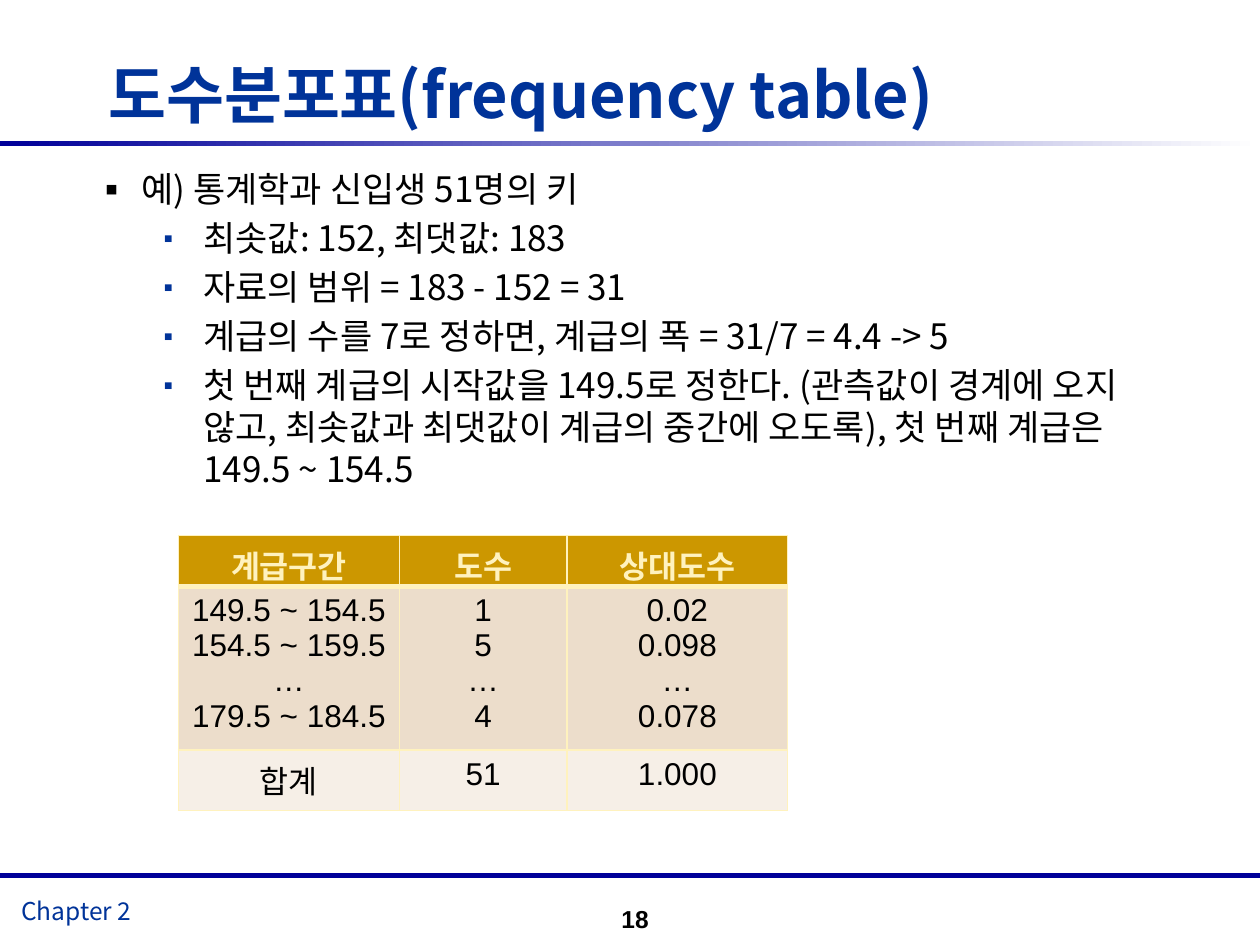
from dataclasses import dataclass

import pptx
import pptx.dml.color
import pptx.enum.shapes
import pptx.enum.text
import pptx.oxml
import pptx.oxml.ns
import pptx.util
from lxml import etree
from pptx.util import Cm, Pt

COLORS = {
    "navy": "000099",
    "blue": "003399",
    "black": "000000",
    "white": "FFFFFF",
    "gold": "CC9700",
    "cream": "FFF2BE",
    "tan": "ECDDCB",
    "pale": "F6EFE7",
}
KOREAN_FONT = "Noto Sans CJK KR"
TABLE_FONT = "Arial"
ALIGN = pptx.enum.text.PP_ALIGN
ANCHOR = pptx.enum.text.MSO_ANCHOR


@dataclass
class Bullet:
    text: str
    indent: float
    color: str
    size_percent: int


@dataclass
class TableRow:
    cells: list[str]
    height: float
    fill: str
    color: str
    bold: bool
    top_border: float
    bottom_border: float


def sub_bullet(text: str) -> Bullet:
    return Bullet(text, 2.2, "blue", 70)


BULLETS = [
    Bullet("예) 통계학과 신입생 51명의 키", 0.95, "black", 100),
    sub_bullet("최솟값: 152, 최댓값: 183"),
    sub_bullet("자료의 범위 = 183 - 152 = 31"),
    sub_bullet("계급의 수를 7로 정하면, 계급의 폭 = 31/7 = 4.4 -> 5"),
    sub_bullet(
        "첫 번째 계급의 시작값을 149.5로 정한다. (관측값이 경계에 오지 않고, "
        "최솟값과 최댓값이 계급의 중간에 오도록), 첫 번째 계급은 149.5 ~ 154.5"
    ),
]
COLUMN_WIDTHS = [4.45, 3.38, 4.45]
TABLE_ROWS = [
    TableRow(["계급구간", "도수", "상대도수"], 1.02, "gold", "cream", True, 1, 3),
    TableRow(
        [
            "149.5 ~ 154.5\n154.5 ~ 159.5\n…\n179.5 ~ 184.5",
            "1\n5\n…\n4",
            "0.02\n0.098\n…\n0.078",
        ],
        3.3, "tan", "black", False, 3, 1,
    ),
    TableRow(["합계", "51", "1.000"], 1.22, "pale", "black", False, 1, 1),
]


def rgb(name: str) -> pptx.dml.color.RGBColor:
    return pptx.dml.color.RGBColor.from_string(COLORS[name])


def format_runs(paragraph, font_name: str, size: float, color: str, bold: bool = False) -> None:
    for run in paragraph.runs:
        run.font.name = font_name
        run.font.size = Pt(size)
        run.font.bold = bold
        run.font.color.rgb = rgb(color)
        if font_name == KOREAN_FONT:
            east_asian = etree.SubElement(
                run.font._element, pptx.oxml.ns.qn("a:ea")
            )
            east_asian.set("typeface", font_name)


def set_margins(text_frame, left: float = 0) -> None:
    text_frame.margin_left = Cm(left)
    text_frame.margin_top = text_frame.margin_right = text_frame.margin_bottom = 0


def add_rule(slide, top: float):
    shape = slide.shapes.add_shape(
        pptx.enum.shapes.MSO_SHAPE.RECTANGLE, 0, Cm(top), Cm(25.4), Cm(0.1)
    )
    shape.shadow.inherit = False
    shape.line.fill.background()
    return shape


def add_rules(slide) -> None:
    fading = add_rule(slide, 2.85).fill
    fading.gradient()
    fading.gradient_angle = 0
    for stop, color in zip(fading.gradient_stops, ("navy", "white")):
        stop.color.rgb = rgb(color)
    footer = add_rule(slide, 17.6).fill
    footer.solid()
    footer.fore_color.rgb = rgb("navy")


def format_title(slide) -> None:
    title = slide.shapes.title
    title.left, title.top, title.width, title.height = Cm(1.9), Cm(1.27), Cm(23.5), Cm(1.9)
    text_frame = title.text_frame
    text_frame.text = "도수분포표(frequency table)"
    text_frame.vertical_anchor = ANCHOR.TOP
    set_margins(text_frame, left=0.28)
    paragraph = text_frame.paragraphs[0]
    paragraph.alignment = ALIGN.LEFT
    paragraph.line_spacing = Pt(39)
    format_runs(paragraph, KOREAN_FONT, 36, "blue", bold=True)


def set_bullet(paragraph, bullet: Bullet) -> None:
    properties = paragraph._p.get_or_add_pPr()
    properties.set("marL", str(Cm(bullet.indent)))
    properties.set("indent", str(-Cm(0.95)))
    color = etree.SubElement(properties, pptx.oxml.ns.qn("a:buClr"))
    etree.SubElement(color, pptx.oxml.ns.qn("a:srgbClr")).set("val", COLORS[bullet.color])
    for tag, attribute, value in (
        ("a:buSzPct", "val", str(bullet.size_percent * 1000)),
        ("a:buFont", "typeface", KOREAN_FONT),
        ("a:buChar", "char", "▪"),
    ):
        etree.SubElement(properties, pptx.oxml.ns.qn(tag)).set(attribute, value)


def add_body(slide) -> None:
    text_frame = slide.shapes.add_textbox(Cm(1.9), Cm(3.38), Cm(21.8), Cm(13.55)).text_frame
    text_frame.word_wrap = True
    set_margins(text_frame)
    text_frame.text = "\n".join(bullet.text for bullet in BULLETS)
    for index, (paragraph, bullet) in enumerate(zip(text_frame.paragraphs, BULLETS)):
        set_bullet(paragraph, bullet)
        paragraph.level = 1 if index else 0
        paragraph.space_before = Pt(4 if index else 0)
        format_runs(paragraph, KOREAN_FONT, 20, bullet.color if not index else "black")


def set_borders(cell, row: TableRow) -> None:
    properties = cell._tc.get_or_add_tcPr()
    sides = {"L": 1, "R": 1, "T": row.top_border, "B": row.bottom_border}
    for side, width in sides.items():
        line = etree.SubElement(properties, pptx.oxml.ns.qn(f"a:ln{side}"))
        line.set("w", str(Pt(width)))
        fill = etree.SubElement(line, pptx.oxml.ns.qn("a:solidFill"))
        etree.SubElement(fill, pptx.oxml.ns.qn("a:srgbClr")).set("val", COLORS["cream"])


def add_frequency_table(slide) -> None:
    table = slide.shapes.add_table(
        len(TABLE_ROWS), len(COLUMN_WIDTHS), Cm(3.6), Cm(10.8),
        Cm(sum(COLUMN_WIDTHS)), Cm(sum(row.height for row in TABLE_ROWS)),
    ).table
    for column, width in zip(table.columns, COLUMN_WIDTHS):
        column.width = Cm(width)
    for table_row, row in zip(table.rows, TABLE_ROWS):
        table_row.height = Cm(row.height)
        for cell, text in zip(table_row.cells, row.cells):
            set_borders(cell, row)
            cell.fill.solid()
            cell.fill.fore_color.rgb = rgb(row.fill)
            cell.text_frame.text = text
            for paragraph in cell.text_frame.paragraphs:
                paragraph.alignment = ALIGN.CENTER
                format_runs(paragraph, TABLE_FONT, 18, row.color, row.bold)


def add_footer(slide) -> None:
    chapter = slide.shapes.add_textbox(Cm(0.18), Cm(17.93), Cm(8.46), Cm(0.84)).text_frame
    chapter.word_wrap = True
    chapter.text = "Chapter 2"
    format_runs(chapter.paragraphs[0], KOREAN_FONT, 14, "blue")
    number = slide.shapes.add_textbox(Cm(11.86), Cm(17.98), Cm(1.47), Cm(1.07)).text_frame
    number.vertical_anchor = ANCHOR.MIDDLE
    number.text = "18"
    number.paragraphs[0].alignment = ALIGN.RIGHT
    format_runs(number.paragraphs[0], TABLE_FONT, 14, "black", bold=True)


def main() -> None:
    presentation = pptx.Presentation()
    presentation.slide_width, presentation.slide_height = Cm(25.4), Cm(19.05)
    slide = presentation.slides.add_slide(presentation.slide_layouts[5])
    add_rules(slide)
    format_title(slide)
    add_body(slide)
    add_frequency_table(slide)
    add_footer(slide)
    presentation.save("out.pptx")


if __name__ == "__main__":
    main()
